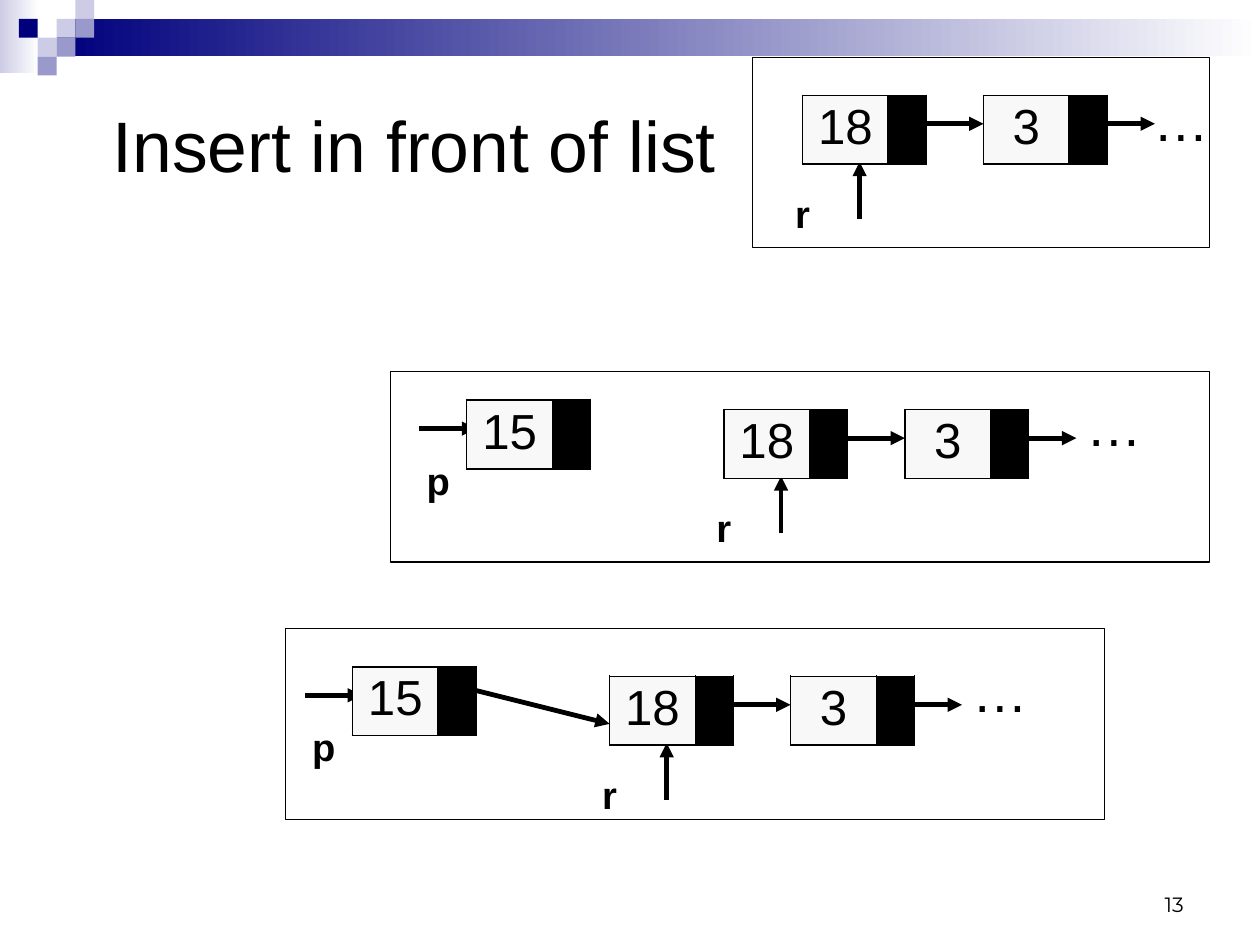
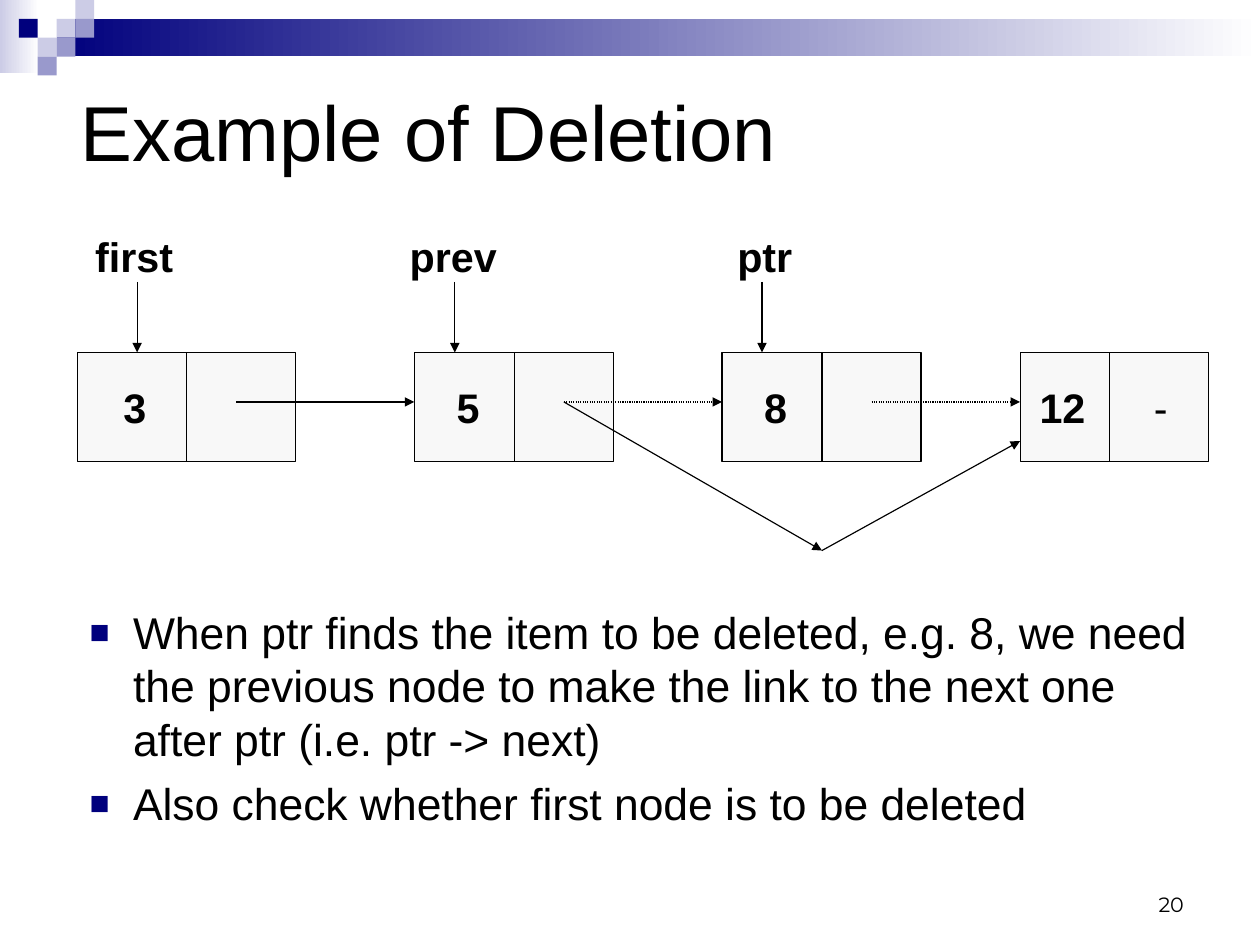
from lxml import etree
from pptx import Presentation, util as u
from pptx.dml.color import RGBColor
from pptx.enum import dml, shapes, text
from pptx.oxml.ns import qn

INK, PALE, NAVY, LILAC, VIOLET, WHITE = "000000", "F8F8F8", "00007D", "CCCCE6", "9999CC", "FFFFFF"
FONT = "Arial"
SQUARE = 1.98
CHECKS = [(3, 1, LILAC), (4, 0, LILAC), (4, 1, VIOLET), (2, 2, LILAC),
          (1, 1, NAVY), (3, 2, VIOLET), (2, 3, VIOLET)]
INSETS = (0.11, 0.06, 0.11, 0.06)
CENTER, LEFT, RIGHT = text.PP_ALIGN.CENTER, text.PP_ALIGN.LEFT, text.PP_ALIGN.RIGHT
TOP, MIDDLE, BOTTOM = text.MSO_ANCHOR.TOP, text.MSO_ANCHOR.MIDDLE, text.MSO_ANCHOR.BOTTOM
NODE_W, VALUE_W, NODE_H, NODE_STEP = 13, 9, 7, 19
ROW_TOP, ROW_H, LINK_Y = 37, 11.5, 42.2


def grid(*counts):
    """Turn counts of grid units, a twelfth of an inch each, into lengths."""
    return [u.Inches(count / 12) for count in counts]


def color(code):
    """Return the colour for a hex string."""
    return RGBColor.from_string(code)


def write(para, words, size, bold=False, font=FONT):
    """Add one formatted run to a paragraph."""
    span = para.add_run()
    span.text = words
    span.font.name, span.font.size, span.font.bold = font, u.Pt(size), bold
    span.font.color.rgb = color(INK)


def frame_text(box, align=LEFT, anchor=TOP, insets=INSETS):
    """Set up the text frame of a box and return its first paragraph."""
    frame = box.text_frame
    frame.word_wrap, frame.auto_size = True, text.MSO_AUTO_SIZE.NONE
    frame.vertical_anchor = anchor
    (frame.margin_left, frame.margin_top,
     frame.margin_right, frame.margin_bottom) = [u.Inches(inset) for inset in insets]
    frame.paragraphs[0].alignment = align
    return frame.paragraphs[0]


def add_label(page, at, words, size, bold=False, align=CENTER, anchor=TOP,
              insets=(0, 0, 0, 0), font=FONT):
    """Add a one-paragraph text box."""
    box = page.shapes.add_textbox(*grid(*at))
    write(frame_text(box, align, anchor, insets), words, size, bold, font)


def add_rect(page, at, fill=None, outline=None, fade=False):
    """Add a rectangle: plain, outlined, or fading to white."""
    box = page.shapes.add_shape(shapes.MSO_SHAPE.RECTANGLE, *grid(*at))
    box.shadow.inherit = False
    if fade:
        box.fill.gradient()
        box.fill.gradient_angle = 0
        for stop, code in zip(box.fill.gradient_stops, (fill, WHITE)):
            stop.color.rgb = color(code)
    elif fill:
        box.fill.solid()
        box.fill.fore_color.rgb = color(fill)
    else:
        box.fill.background()
    if outline:
        box.line.color.rgb, box.line.width = color(outline), u.Pt(0.75)
    else:
        box.line.fill.background()
    return box


def add_line(page, start, end, width=0.75, arrow=True, dotted=False):
    """Add a straight line, with an arrowhead at its end by default."""
    line = page.shapes.add_connector(shapes.MSO_CONNECTOR.STRAIGHT, *grid(*start, *end))
    line.line.color.rgb, line.line.width = color(INK), u.Pt(width)
    if dotted:
        line.line.dash_style = dml.MSO_LINE.ROUND_DOT
    if arrow:
        etree.SubElement(line.element.spPr.find(qn("a:ln")), qn("a:tailEnd"), type="triangle")
    etree.SubElement(line.element.spPr, qn("a:effectLst"))


def dress_master(deck, page):
    """Draw the top band and its checks, and move them to the master."""
    parts = [add_rect(page, (0, 0, 4.1, 7.7), LILAC, fade=True),
             add_rect(page, (6, 1.95, 126.3, 3.95), NAVY, fade=True)]
    parts += [add_rect(page, (column * SQUARE, row * SQUARE, SQUARE, SQUARE), fill)
              for column, row, fill in CHECKS]
    tree = deck.slide_master.shapes.element
    for index, part in enumerate(parts):
        part.element.nvSpPr.cNvPr.set("id", str(100 + index))
        tree.insert(2 + index, part.element)


def add_page(deck, title, at, size, number):
    """Add a slide with its title and number."""
    page = deck.slides.add_slide(deck.slide_layouts[5])
    box = page.shapes.title
    box.left, box.top, box.width, box.height = grid(*at)
    write(frame_text(box, LEFT, MIDDLE), title, size)
    add_label(page, (94.8, 90.4, 30.8, 6.6), number, 13, align=RIGHT, anchor=BOTTOM,
              insets=INSETS, font="Montserrat")
    return page


def add_cell_borders(cell):
    """Draw a thin black line on each side of a table cell."""
    for index, side in enumerate(("lnL", "lnR", "lnT", "lnB")):
        line = etree.Element(qn("a:" + side), w=str(u.Pt(1.08)))
        fill = etree.SubElement(line, qn("a:solidFill"))
        etree.SubElement(fill, qn("a:srgbClr"), val=INK)
        cell._tc.get_or_add_tcPr().insert(index, line)


def add_node(page, x, y, value):
    """Add a list node as a table with a value and a black link field."""
    table = page.shapes.add_table(1, 2, *grid(x, y, NODE_W, NODE_H)).table
    table.first_row = table.horz_banding = False
    widths = grid(VALUE_W, NODE_W - VALUE_W)
    for column, cell, width, fill in zip(table.columns, table.iter_cells(), widths, (PALE, INK)):
        column.width = width
        cell.fill.solid()
        cell.fill.fore_color.rgb = color(fill)
        cell.vertical_anchor = MIDDLE
        cell.margin_top, cell.margin_bottom = u.Inches(0.04), u.Inches(0.08)
        add_cell_borders(cell)
    para = table.cell(0, 0).text_frame.paragraphs[0]
    para.alignment = CENTER
    write(para, value, 31)


def add_list(page, x, y, dots):
    """Add the list 18, 3, … with r pointing at its first node."""
    add_line(page, (x + 6, y + 13), (x + 6, y + 7), 3)
    add_label(page, (x - 4, y + 10, 8, 4.8), "r", 24, True)
    for index, (value, reach) in enumerate((("18", NODE_STEP), ("3", 18))):
        left = x + index * NODE_STEP
        add_node(page, left, y, value)
        add_line(page, (left + 10, y + 3), (left + reach, y + 3), 3)
    add_label(page, (x + dots[0], y + dots[1], 8, 7), "…", 35)


def add_new_node(page, x, y):
    """Add the new node 15 with p pointing at it."""
    add_line(page, (x - 5, y + 3), (x + 1, y + 3), 3)
    add_node(page, x, y, "15")
    add_label(page, (x - 7, y + 6, 8, 4.8), "p", 24, True)


def add_split_node(page, left, width, divider, inset, value, link=None):
    """Add a rectangle split at the divider, with its value and any link text."""
    box = add_rect(page, (left, ROW_TOP, width, ROW_H), PALE, INK)
    para = frame_text(box, LEFT, MIDDLE, (inset, 0.06, 0, 0.06))
    if link:
        stops = etree.SubElement(para._p.get_or_add_pPr(), qn("a:tabLst"))
        etree.SubElement(stops, qn("a:tab"), pos=str(u.Inches(1)), algn="l")
    write(para, value, 26, True)
    if link:
        write(para, "\t" + link, 26)
    add_line(page, (divider, ROW_TOP), (divider, ROW_TOP + ROW_H), arrow=False)


def add_bullets(page, at, items):
    """Add a text box of square-bulleted paragraphs."""
    box = page.shapes.add_textbox(*grid(*at))
    para = frame_text(box)
    for index, item in enumerate(items):
        if index:
            para = box.text_frame.add_paragraph()
            para.space_before = u.Pt(7)
        props = para._p.get_or_add_pPr()
        props.set("marL", str(u.Inches(0.38)))
        props.set("indent", str(-u.Inches(0.38)))
        tint = etree.SubElement(props, qn("a:buClr"))
        etree.SubElement(tint, qn("a:srgbClr"), val=NAVY)
        etree.SubElement(props, qn("a:buSzPct"), val="75000")
        etree.SubElement(props, qn("a:buFont"), typeface=FONT)
        etree.SubElement(props, qn("a:buChar"), char="■")
        write(para, item, 28)


def fill_insertion(page):
    """Show the list before, during and after the insertion."""
    for at in ((79, 6, 48, 20), (41, 39, 86, 20), (30, 66, 86, 20)):
        add_rect(page, at, outline=INK)
    add_list(page, 84.25, 10, (35.75, -1))
    for new, first in (((49, 42), (76, 43)), ((37, 70), (64, 71))):
        add_new_node(page, *new)
        add_list(page, *first, (37, -2))
    add_line(page, (48, 72), (64, 76), 3)


def fill_deletion(page):
    """Show the node 8 being bypassed, with the explanation below."""
    nodes = [(8.15, 22.9, 19.6, 0.4, "3"), (43.5, 20.9, 54, 0.37, "5"),
             (75.8, 20.9, 86.3, 0.37, "8"), (107.1, 19.8, 116.5, 0.17, "12", "-")]
    for node in nodes:
        add_split_node(page, *node)
    for index, (node, following) in enumerate(zip(nodes, nodes[1:])):
        add_line(page, (node[2] + 5.2, LINK_Y), (following[0], LINK_Y), dotted=index > 0)
    for name, left, x in (("first", 8.1, 14.4), ("prev", 41.6, 47.75), ("ptr", 74.3, 80)):
        add_label(page, (left, 23.6, 12, 6.5), name, 26, True, insets=INSETS)
        add_line(page, (x, 29.6), (x, ROW_TOP))
    bend = (nodes[2][2], 57.8)
    add_line(page, (nodes[1][2] + 5.2, LINK_Y), bend)
    add_line(page, bend, (nodes[-1][0], 46.3))
    add_bullets(page, (8.1, 62.8, 119.3, 30.7), [
        "When ptr finds the item to be deleted, e.g. 8, we need the previous node "
        "to make the link to the next one after ptr (i.e. ptr -> next)",
        "Also check whether first node is to be deleted"])


def main():
    """Build and save the deck."""
    deck = Presentation()
    deck.slide_width, deck.slide_height = u.Cm(28), u.Cm(21)
    insertion = add_page(deck, "Insert in front of list", (10.5, 9.6, 75.8, 11), 45, "13")
    dress_master(deck, insertion)
    fill_insertion(insertion)
    deletion = add_page(deck, "Example of Deletion", (7.15, 3.75, 119, 19.8), 49, "20")
    fill_deletion(deletion)
    deck.save("out.pptx")


if __name__ == "__main__":
    main()
